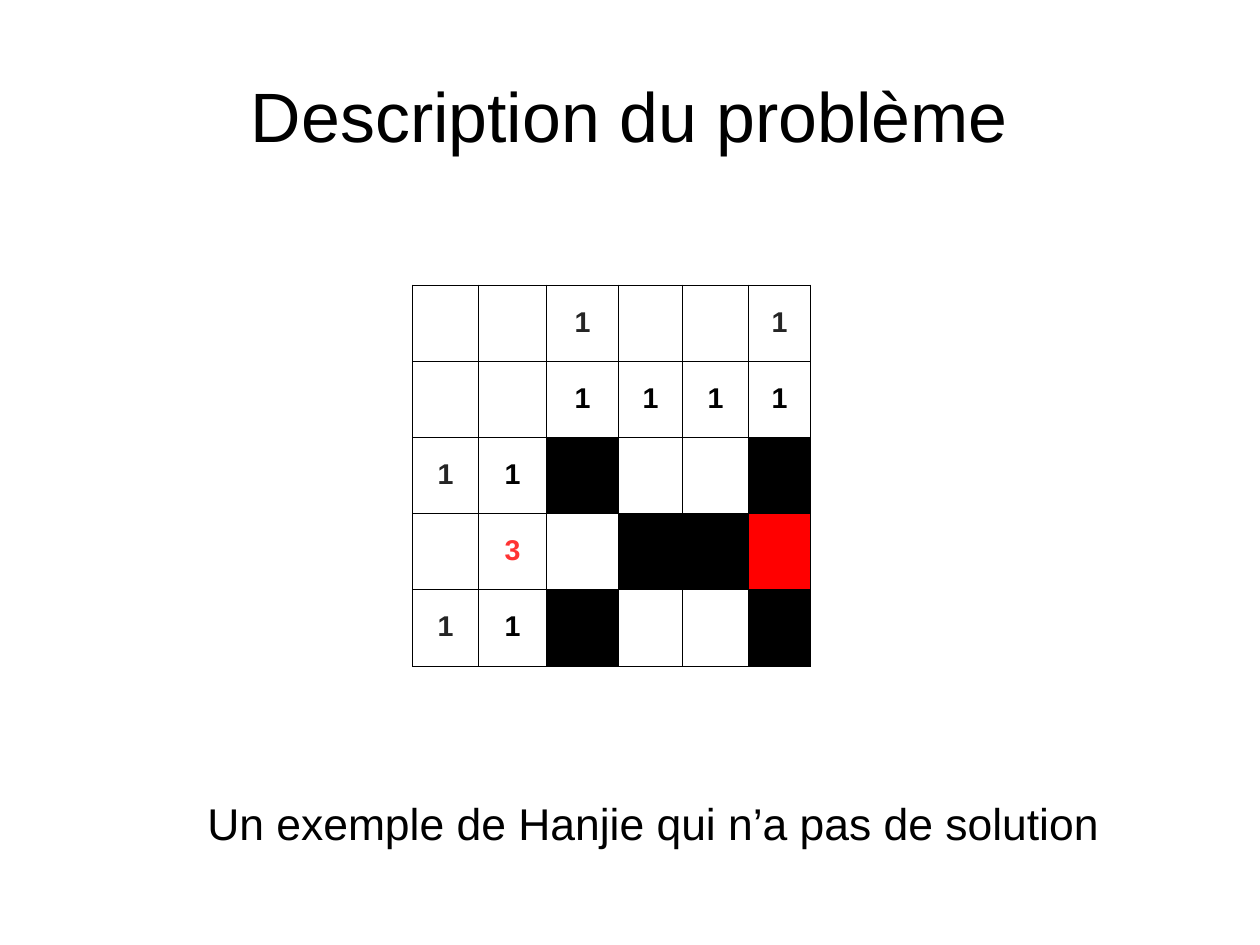
from lxml import etree
from pptx import Presentation
from pptx.dml.color import RGBColor
from pptx.enum.text import MSO_ANCHOR, PP_ALIGN
from pptx.oxml.ns import qn
from pptx.util import Pt

CENTER = PP_ALIGN.CENTER
TOP, MIDDLE = MSO_ANCHOR.TOP, MSO_ANCHOR.MIDDLE
BLACK, WHITE, RED = "000000", "FFFFFF", "FF0000"
GREY, ROSE = "252525", "FF3333"

WIDTHS = [41.6, 42.8, 45.4, 40.3, 41.6, 38.9]
ROW = 48
# Dot: empty square, B: black square, R: red square, digit: clue
PUZZLE = ["..1..1", "..1111", "11B..B", ".3.BBR", "11B..B"]
FILLS = {"B": BLACK, "R": RED}
PALE = {(0, 2), (0, 5), (2, 0), (4, 0)}


def color(code):
    return RGBColor.from_string(code)


def write(frame, text, size=18, ink=BLACK, bold=False):
    para = frame.paragraphs[0]
    para.alignment = CENTER
    para.line_spacing = 0.94
    run = para.add_run()
    run.text = text
    font = run.font
    font.name, font.size, font.bold = "Arial", Pt(size), bold
    font.color.rgb = color(ink)


def label(slide, box, text, size, anchor, pads):
    """Add a centred text box; pads are left, top, right, bottom."""
    frame = slide.shapes.add_textbox(*map(Pt, box)).text_frame
    frame.word_wrap = True
    frame.vertical_anchor = anchor
    (frame.margin_left, frame.margin_top,
     frame.margin_right, frame.margin_bottom) = map(Pt, pads)
    write(frame, text, size)


def border(cell, ink=BLACK, width=0.45):
    props = cell._tc.get_or_add_tcPr()
    for spot, side in enumerate(("lnL", "lnR", "lnT", "lnB")):
        line = etree.Element(qn("a:" + side), w=str(Pt(width)))
        fill = etree.SubElement(line, qn("a:solidFill"))
        etree.SubElement(fill, qn("a:srgbClr"), val=ink)
        props.insert(spot, line)


def square(cell, mark, ink):
    cell.fill.solid()
    cell.fill.fore_color.rgb = color(FILLS.get(mark, WHITE))
    border(cell)
    cell.vertical_anchor = MIDDLE
    cell.margin_left = cell.margin_right = Pt(5)
    cell.margin_top = cell.margin_bottom = Pt(3.6)
    if mark.isdigit():
        write(cell.text_frame, mark, ink=ink, bold=True)


def grid(slide, left, top):
    """Draw the puzzle with its clues and filled squares."""
    size = sum(WIDTHS), ROW * len(PUZZLE)
    table = slide.shapes.add_table(
        len(PUZZLE), len(WIDTHS), *map(Pt, (left, top, *size))).table
    table.first_row = table.horz_banding = False
    for col, width in zip(table.columns, WIDTHS):
        col.width = Pt(width)
    for y, marks in enumerate(PUZZLE):
        table.rows[y].height = Pt(ROW)
        for x, mark in enumerate(marks):
            ink = ROSE if mark == "3" else GREY if (y, x) in PALE else BLACK
            square(table.cell(y, x), mark, ink)


def main():
    deck = Presentation()
    deck.slide_width, deck.slide_height = Pt(793.6), Pt(595.3)
    slide = deck.slides.add_slide(deck.slide_layouts[6])
    label(slide, (39.6, 23.8, 714.2, 99.4), "Description du problème",
          44, MIDDLE, (0, 2.9, 0, 0))
    grid(slide, 259.9, 179.5)
    label(slide, (85, 499, 652.3, 38.2),
          "Un exemple de Hanjie qui n’a pas de solution",
          28, TOP, (7.2, 5, 7.2, 3.6))
    deck.save("out.pptx")


if __name__ == "__main__":
    main()
